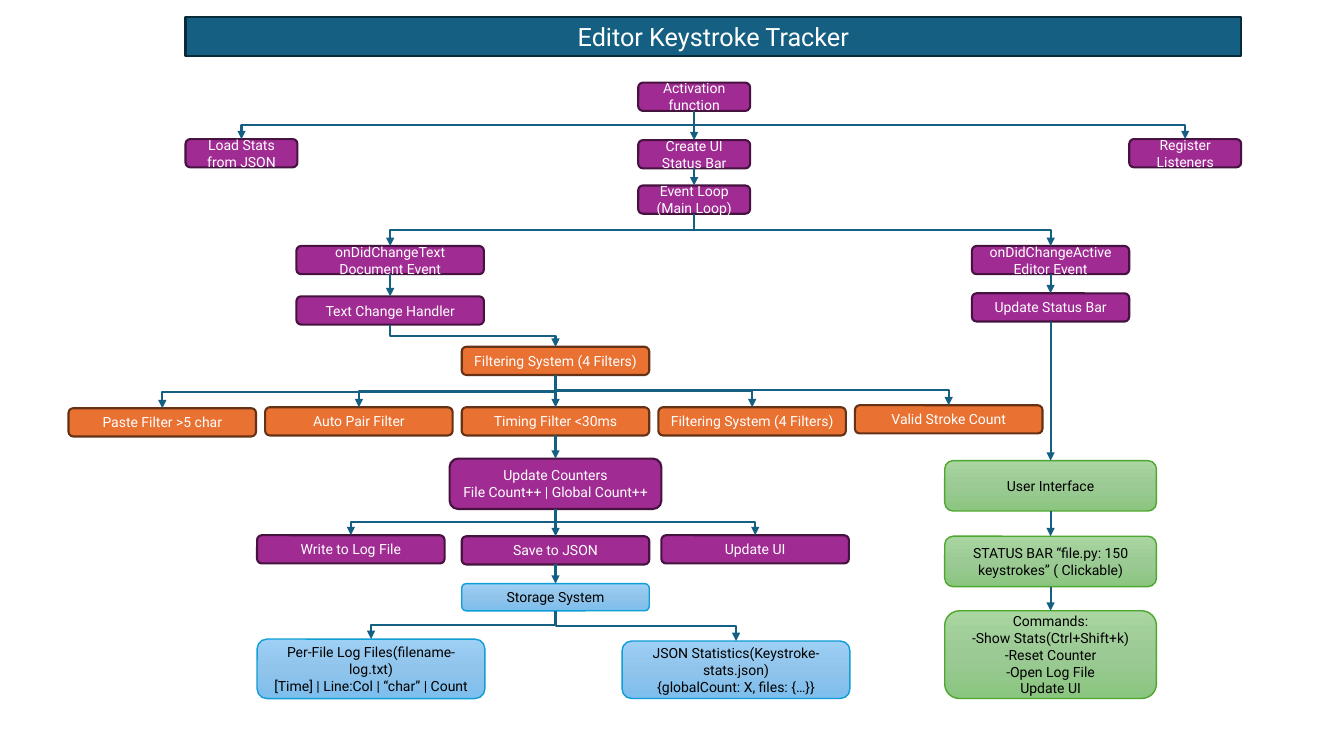
from copy import deepcopy
from dataclasses import dataclass

from lxml.etree import SubElement
from pptx import Presentation
from pptx.dml.color import RGBColor
from pptx.enum.shapes import MSO_CONNECTOR, MSO_SHAPE
from pptx.enum.text import MSO_ANCHOR, MSO_AUTO_SIZE, PP_ALIGN
from pptx.oxml.ns import qn
from pptx.util import Inches, Pt

COLOURS = {
    "teal": "156082", "teal_edge": "092A39",
    "purple": "A02B93", "purple_edge": "461340",
    "orange": "E97132", "orange_edge": "663216",
    "blue_top": "9ECFF5", "blue_middle": "90C4EB", "blue_bottom": "7CBEED", "blue_edge": "0F9ED5",
    "green_top": "A8D5A0", "green_middle": "9CCA94", "green_bottom": "8AC680", "green_edge": "4EA72E",
    "white": "FFFFFF", "black": "000000",
}


@dataclass(frozen=True)
class Style:
    fills: tuple[str, ...]
    edge: str
    edge_width: float
    text: str
    size: int = 10


@dataclass(frozen=True)
class Box:
    name: str
    text: str
    left: float
    top: float
    style: str
    width: float = 1.86
    height: float = 0.28


STYLES = {
    "title": Style(("teal",), "teal_edge", 1.5, "white", 18),
    "process": Style(("purple",), "purple_edge", 1.5, "white"),
    "filter": Style(("orange",), "orange_edge", 1.5, "white"),
    "storage": Style(("blue_top", "blue_middle", "blue_bottom"), "blue_edge", 1, "black"),
    "interface": Style(("green_top", "green_middle", "green_bottom"), "green_edge", 1, "black"),
}

START_WIDTH, EVENT_WIDTH, PANEL_WIDTH, FILE_WIDTH = 1.11, 1.56, 2.1, 2.26
PANEL_HEIGHT = 0.5
FILTER_LEFT, FILTER_STEP = 0.68, 1.95
FILTERS = [
    ("paste", "Paste Filter >5 char", 4.05),
    ("pair", "Auto Pair Filter", 4.04),
    ("timing", "Timing Filter <30ms", 4.04),
    ("system", "Filtering System (4 Filters)", 4.04),
    ("valid", "Valid Stroke Count", 4.02),
]

BOXES = [
    Box("activation", "Activation function", 6.33, 0.82, "process", START_WIDTH),
    Box("load", "Load Stats from JSON", 1.84, 1.38, "process", START_WIDTH),
    Box("create", "Create UI Status Bar", 6.33, 1.39, "process", START_WIDTH),
    Box("register", "Register Listeners", 11.2, 1.38, "process", START_WIDTH),
    Box("loop", "Event Loop (Main Loop)", 6.33, 1.84, "process", START_WIDTH),
    Box("text event", "onDidChangeText Document Event", 2.94, 2.44, "process"),
    Box("editor event", "onDidChangeActive Editor Event", 9.64, 2.44, "process", EVENT_WIDTH),
    Box("handler", "Text Change Handler", 2.94, 2.94, "process"),
    Box("status", "Update Status Bar", 9.64, 2.91, "process", EVENT_WIDTH),
    Box("filtering", "Filtering System (4 Filters)", 4.58, 3.44, "filter"),
    *(Box(name, text, FILTER_LEFT + index * FILTER_STEP, top, "filter")
      for index, (name, text, top) in enumerate(FILTERS)),
    Box("counters", "Update Counters\nFile Count++ | Global Count++",
        4.46, 4.55, "process", PANEL_WIDTH, PANEL_HEIGHT),
    Box("write", "Write to Log File", 2.55, 5.31, "process"),
    Box("save", "Save to JSON", 4.58, 5.32, "process"),
    Box("update", "Update UI", 6.56, 5.31, "process"),
    Box("storage", "Storage System", 4.58, 5.79, "storage", height=0.27),
    Box("log files", "Per-File Log Files(filename-log.txt)\n[Time] | Line:Col | “char” | Count",
        2.55, 6.34, "storage", FILE_WIDTH, 0.59),
    Box("statistics", "JSON Statistics(Keystroke-stats.json)\n{globalCount: X, files: {…}}",
        6.17, 6.36, "storage", FILE_WIDTH, 0.57),
    Box("interface", "User Interface", 9.37, 4.57, "interface", PANEL_WIDTH, PANEL_HEIGHT),
    Box("bar", "STATUS BAR “file.py: 150 keystrokes” ( Clickable)",
        9.37, 5.32, "interface", PANEL_WIDTH, PANEL_HEIGHT),
    Box("commands", "Commands:\n-Show Stats(Ctrl+Shift+k)\n-Reset Counter\n-Open Log File\nUpdate UI",
        9.37, 6.06, "interface", PANEL_WIDTH, 0.87),
]

FLOW = {
    "activation": ["create", "load", "register"],
    "create": ["loop"],
    "loop": ["text event", "editor event"],
    "text event": ["handler"],
    "editor event": ["status"],
    "status": ["interface"],
    "handler": ["filtering"],
    "filtering": [name for name, _, _ in FILTERS],
    "interface": ["bar"],
    "bar": ["commands"],
    "timing": ["counters"],
    "counters": ["save", "write", "update"],
    "save": ["storage"],
    "storage": ["log files", "statistics"],
}


def colour(name: str) -> RGBColor:
    return RGBColor.from_string(COLOURS[name])


def set_attributes(target, values: dict) -> None:
    for name, value in values.items():
        setattr(target, name, value)


def place(shape, box: Box) -> None:
    set_attributes(shape, {side: Inches(getattr(box, side)) for side in ("left", "top", "width", "height")})


def fill_shape(shape, names: tuple[str, ...]) -> None:
    """Fill with one colour, or with three colours running downwards."""
    fill = shape.fill
    if len(names) == 1:
        fill.solid()
        fill.fore_color.rgb = colour(names[0])
        return
    fill.gradient()
    fill.gradient_angle = 270
    first_stop = shape._element.spPr.find(".//" + qn("a:gs"))
    first_stop.addnext(deepcopy(first_stop))
    for stop, name, position in zip(fill.gradient_stops, names, (0, 0.5, 1)):
        set_attributes(stop, {"position": position})
        stop.color.rgb = colour(name)


def format_box(shape, box: Box) -> None:
    style = STYLES[box.style]
    fill_shape(shape, style.fills)
    shape.line.width = Pt(style.edge_width)
    shape.line.color.rgb = colour(style.edge)
    shape.shadow.inherit = False
    frame = shape.text_frame
    frame.text = box.text
    set_attributes(frame, {"word_wrap": True, "vertical_anchor": MSO_ANCHOR.MIDDLE,
                           "auto_size": MSO_AUTO_SIZE.NONE})
    for paragraph in frame.paragraphs:
        paragraph.alignment = PP_ALIGN.CENTER
        for run in paragraph.runs:
            set_attributes(run.font, {"name": "Roboto", "size": Pt(style.size)})
            run.font.color.rgb = colour(style.text)


def add_title(slide) -> None:
    box = Box("title", "Editor Keystroke Tracker", 1.84, 0.17, "title", 10.47, 0.39)
    title = slide.shapes.title
    place(title, box)
    geometry = SubElement(title._element.spPr, qn("a:prstGeom"), prst="roundRect")
    SubElement(geometry, qn("a:avLst"))
    format_box(title, box)


def add_box(slide, box: Box):
    shape = slide.shapes.add_shape(MSO_SHAPE.ROUNDED_RECTANGLE, 0, 0, 0, 0)
    place(shape, box)
    format_box(shape, box)
    return shape


def turn_elbow(connector) -> None:
    """Rotate a bent connector so that it leaves and arrives vertically."""
    left, top, width, height = connector.left, connector.top, connector.width, connector.height
    rightwards = connector.end_x > connector.begin_x
    set_attributes(connector, {"left": left + (width - height) // 2, "top": top + (height - width) // 2,
                               "width": height, "height": width})
    transform = connector._element.spPr.find(qn("a:xfrm"))
    transform.set("rot", "16200000" if rightwards else "5400000")
    transform.set("flipH", "1" if rightwards else "0")


def add_arrow(slide, source, target) -> None:
    offset = abs(source.left + source.width // 2 - target.left - target.width // 2)
    bent = offset > Inches(0.05)
    kind = MSO_CONNECTOR.ELBOW if bent else MSO_CONNECTOR.STRAIGHT
    connector = slide.shapes.add_connector(kind, 0, 0, 0, 0)
    connector.begin_connect(source, 2)
    connector.end_connect(target, 0)
    if bent:
        turn_elbow(connector)
    connector.line.width = Pt(1.5)
    connector.line.color.rgb = colour("teal")
    SubElement(connector.line._get_or_add_ln(), qn("a:tailEnd"), type="triangle")
    SubElement(connector._element.spPr, qn("a:effectLst"))


def main() -> None:
    presentation = Presentation()
    set_attributes(presentation, {"slide_width": Inches(13.33), "slide_height": Inches(7.5)})
    slide = presentation.slides.add_slide(presentation.slide_layouts[5])
    add_title(slide)
    shapes = {box.name: add_box(slide, box) for box in BOXES}
    for source, targets in FLOW.items():
        for target in targets:
            add_arrow(slide, shapes[source], shapes[target])
    presentation.save("out.pptx")


if __name__ == "__main__":
    main()
